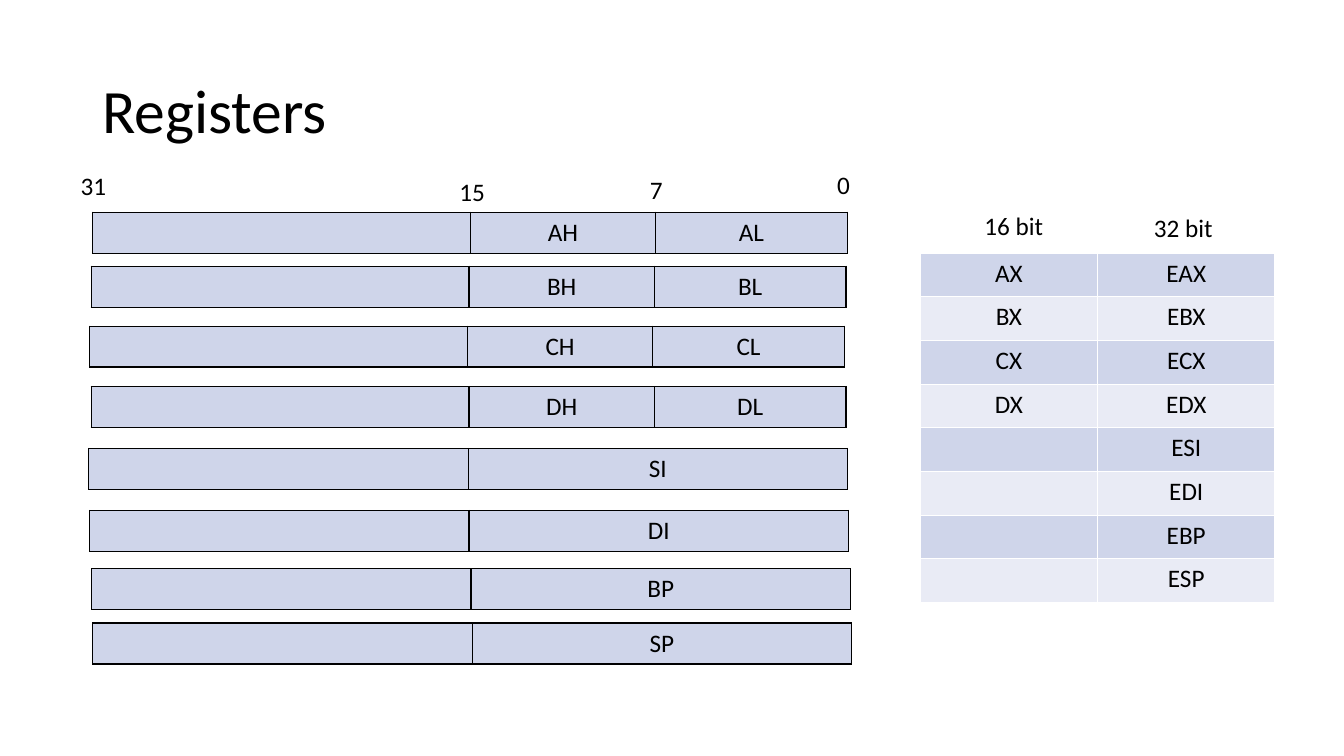
from dataclasses import dataclass
from itertools import cycle

from lxml.etree import SubElement
from pptx import Presentation
from pptx.dml.color import RGBColor
from pptx.enum.text import MSO_ANCHOR as Anchor, PP_ALIGN as Align
from pptx.oxml.ns import qn
from pptx.slide import Slide
from pptx.table import _Cell as Cell
from pptx.text.text import _Paragraph as Paragraph
from pptx.util import Cm, Pt


@dataclass(frozen=True)
class Theme:
    font: str = "Calibri"
    title_size: int = 44
    body_size: int = 18
    ink: str = "000000"
    band: str = "CFD5EA"
    light_band: str = "E9EBF5"
    grid: str = "FFFFFF"


@dataclass(frozen=True)
class Label:
    text: str
    left: float
    top: float
    width: float
    height: float = 1.03


@dataclass(frozen=True)
class Grid:
    left: float
    top: float
    widths: tuple[float, ...]
    row_height: float
    rows: tuple[tuple[str, ...], ...]
    fills: tuple[str, ...]
    border: str


THEME = Theme()
TITLE = Label("Registers", 2.33, 1.01, 29.21, 3.68)
LABELS = (
    Label("0", 20.85, 4.14, 3),
    Label("7", 16.13, 4.27, 3),
    Label("15", 11.33, 4.32, 3),
    Label("31", 1.78, 4.17, 3),
    Label("16 bit", 24.56, 5.18, 2.21),
    Label("32 bit", 28.83, 5.23, 2.21),
)
SPLIT_WIDTHS = (9.52, 4.67, 4.83)
WHOLE_WIDTHS = (9.56, 9.56)


def register(left: float, top: float, *parts: str) -> Grid:
    """Describe a 32-bit register whose unnamed upper half precedes its parts."""
    widths = SPLIT_WIDTHS if len(parts) == 2 else WHOLE_WIDTHS
    return Grid(left, top, widths, 1.03, (("", *parts),), (THEME.band,), THEME.ink)


REGISTERS = (
    register(2.33, 5.35, "AH", "AL"),
    register(2.3, 6.71, "BH", "BL"),
    register(2.26, 8.22, "CH", "CL"),
    register(2.3, 9.74, "DH", "DL"),
    register(2.24, 11.3, "SI"),
    register(2.26, 12.86, "DI"),
    register(2.31, 14.33, "BP"),
    register(2.34, 15.7, "SP"),
)
NAMES = Grid(
    23.19, 6.38, (4.47, 4.47), 1.1,
    (("AX", "EAX"), ("BX", "EBX"), ("CX", "ECX"), ("DX", "EDX"),
     ("", "ESI"), ("", "EDI"), ("", "EBP"), ("", "ESP")),
    (THEME.band, THEME.light_band), THEME.grid,
)


def set_all(target: object, values: dict[str, object]) -> None:
    for name, value in values.items():
        setattr(target, name, value)


def write(p: Paragraph, text: str, size: int) -> None:
    r = p.add_run()
    r.text = text
    set_all(r.font, {"name": THEME.font, "size": Pt(size)})
    r.font.color.rgb = RGBColor.from_string(THEME.ink)


def add_label(s: Slide, label: Label, size: int, anchor: Anchor, spacing: float) -> None:
    box = s.shapes.add_textbox(
        Cm(label.left), Cm(label.top), Cm(label.width), Cm(label.height))
    tf = box.text_frame
    set_all(tf, {"word_wrap": True, "vertical_anchor": anchor})
    p = tf.paragraphs[0]
    p.line_spacing = spacing
    write(p, label.text, size)


def set_borders(cell: Cell, color: str) -> None:
    tc_pr = cell._tc.get_or_add_tcPr()
    for side in ("a:lnL", "a:lnR", "a:lnT", "a:lnB"):
        ln = SubElement(tc_pr, qn(side), w=str(Pt(1)))
        fill = SubElement(ln, qn("a:solidFill"))
        SubElement(fill, qn("a:srgbClr"), val=color)


def add_grid(s: Slide, grid: Grid) -> None:
    table = s.shapes.add_table(
        len(grid.rows), len(grid.widths), Cm(grid.left), Cm(grid.top),
        Cm(sum(grid.widths)), Cm(grid.row_height * len(grid.rows))).table
    set_all(table, {"first_row": False, "horz_banding": False})
    for column, width in zip(table.columns, grid.widths):
        column.width = Cm(width)
    for row, texts, fill in zip(table.rows, grid.rows, cycle(grid.fills)):
        row.height = Cm(grid.row_height)
        for cell, text in zip(row.cells, texts):
            set_borders(cell, grid.border)
            cell.fill.solid()
            cell.fill.fore_color.rgb = RGBColor.from_string(fill)
            if text:
                p = cell.text_frame.paragraphs[0]
                p.alignment = Align.CENTER
                write(p, text, THEME.body_size)


def main() -> None:
    prs = Presentation()
    set_all(prs, {"slide_width": Cm(33.87), "slide_height": Cm(19.05)})
    s = prs.slides.add_slide(prs.slide_layouts[6])
    add_label(s, TITLE, THEME.title_size, Anchor.MIDDLE, 0.9)
    for grid in (*REGISTERS, NAMES):
        add_grid(s, grid)
    for label in LABELS:
        add_label(s, label, THEME.body_size, Anchor.TOP, 1.0)
    prs.save("out.pptx")


if __name__ == "__main__":
    main()
